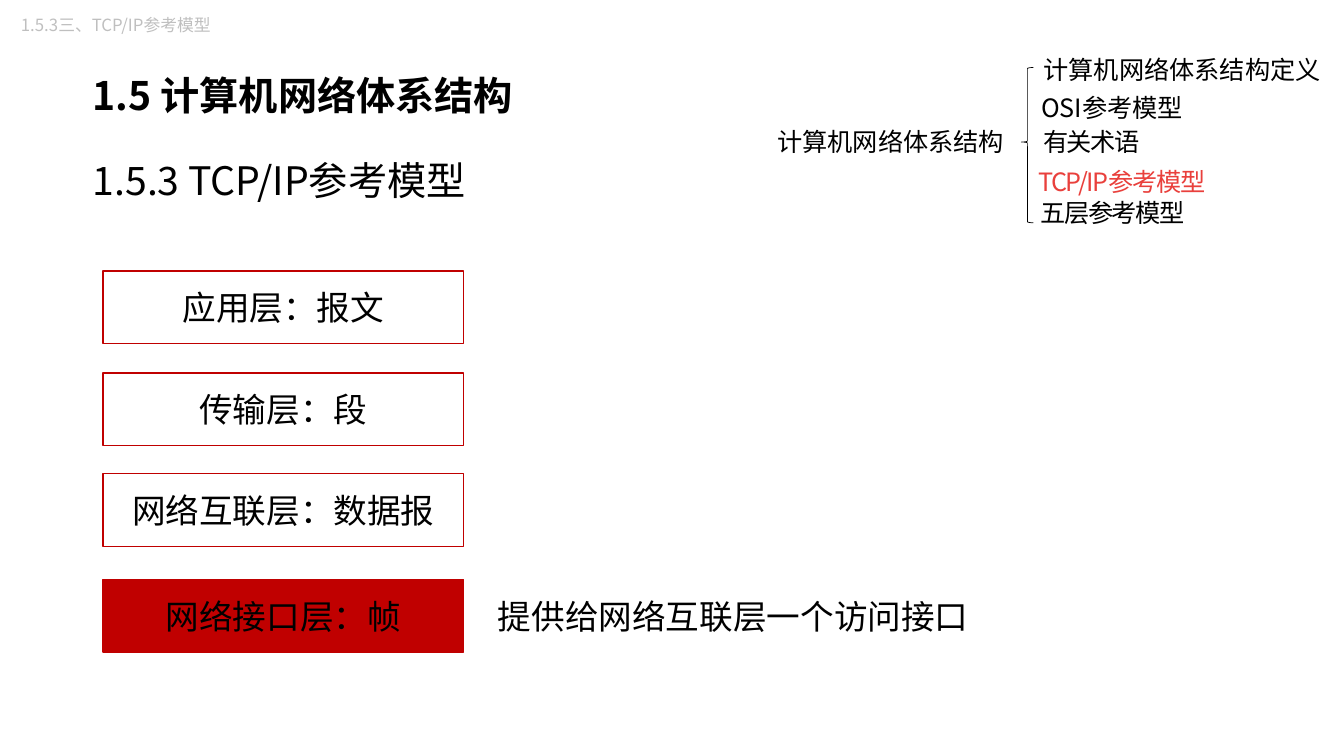
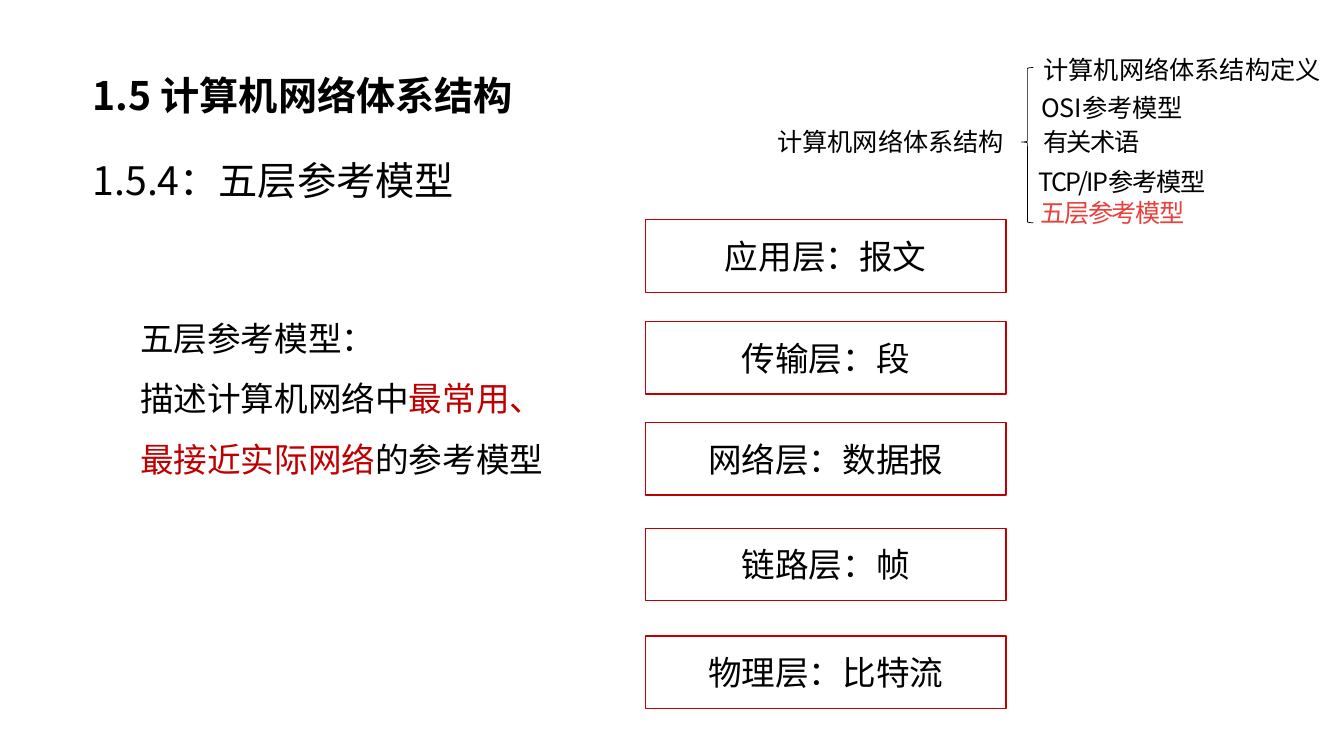
from lxml import etree
from pptx import Presentation
from pptx.dml.color import RGBColor
from pptx.enum.shapes import MSO_SHAPE
from pptx.enum.text import MSO_ANCHOR, MSO_AUTO_SIZE, PP_ALIGN
from pptx.oxml.ns import qn
from pptx.util import Inches, Pt

COLORS = {"text": "000000", "accent": "C00000", "current": "E9403C", "label": "BFBFBF"}
FONT = "Noto Sans CJK SC"
CHAPTER = "1.5 计算机网络体系结构"
LAYER_OFFSETS = (0, 1.01, 2.01, 3.06, 4.13)
LAYER_WIDTH, LAYER_HEIGHT = 3.58, 0.72
OUTLINE_TOPICS = (
    ("OSI参考模型", (9.95, 0.94, 2.16, 0.32), 0),
    ("有关术语", (10.04, 1.28, 1.57, 0.32), -1),
    ("TCP/IP参考模型", (9.82, 1.68, 2.61, 0.32), -1),
    ("五层参考模型", (9.93, 1.99, 2.21, 0.32), -1),
)


def rgb(name):
    return RGBColor.from_string(COLORS[name])


def style_paragraph(paragraph, size, color="text", bold=False, font=FONT,
                    align=PP_ALIGN.LEFT, line_spacing=None, tracking=0):
    paragraph.alignment = align
    if line_spacing:
        paragraph.line_spacing = line_spacing
    paragraph.font.size = Pt(size)
    paragraph.font.bold = bold
    paragraph.font.name = font
    paragraph.font.color.rgb = rgb(color)
    defaults = paragraph._p.pPr.find(qn("a:defRPr"))
    latin = defaults.find(qn("a:latin"))
    east_asian = etree.Element(qn("a:ea"))
    east_asian.set("typeface", FONT)
    latin.addnext(east_asian)
    if tracking:
        defaults.set("spc", str(tracking * 100))


def add_text(shapes, text, box, size, grow=True, **style):
    label = shapes.add_textbox(*map(Inches, box))
    frame = label.text_frame
    frame.word_wrap = True
    frame.auto_size = MSO_AUTO_SIZE.SHAPE_TO_FIT_TEXT if grow else MSO_AUTO_SIZE.NONE
    frame.text = text
    style_paragraph(frame.paragraphs[0], size, **style)
    return frame


def set_heading_margins(frame):
    frame.margin_left = frame.margin_right = Inches(0.12)
    frame.margin_top = frame.margin_bottom = Inches(0.06)


def add_headings(slide, section):
    title = slide.shapes.title
    title.left, title.top, title.width, title.height = map(Inches, (0.8, 0.65, 9.65, 0.59))
    frame = title.text_frame
    frame.text = CHAPTER
    frame.word_wrap = True
    frame.auto_size = MSO_AUTO_SIZE.SHAPE_TO_FIT_TEXT
    frame.vertical_anchor = MSO_ANCHOR.TOP
    set_heading_margins(frame)
    style_paragraph(frame.paragraphs[0], 28, bold=True)

    section_frame = add_text(slide.shapes, section, (0.8, 1.15, 12.16, 1.04), 28,
                             grow=False, line_spacing=1.5)
    section_frame.vertical_anchor = MSO_ANCHOR.MIDDLE
    set_heading_margins(section_frame)


def add_outlined_shape(shapes, preset, box, line_color, line_width, fill=None):
    shape = shapes.add_shape(preset, *map(Inches, box))
    shape.shadow.inherit = False
    if fill:
        shape.fill.solid()
        shape.fill.fore_color.rgb = rgb(fill)
    else:
        shape.fill.background()
    shape.line.color.rgb = rgb(line_color)
    shape.line.width = Pt(line_width)
    return shape


def add_layers(slide, left, top, layers, highlighted=None):
    for name, offset in zip(layers, LAYER_OFFSETS):
        layer = add_outlined_shape(
            slide.shapes, MSO_SHAPE.RECTANGLE,
            (left, top + offset, LAYER_WIDTH, LAYER_HEIGHT), "accent", 1,
            fill="accent" if name == highlighted else None)
        frame = layer.text_frame
        frame.text = name
        frame.vertical_anchor = MSO_ANCHOR.MIDDLE
        style_paragraph(frame.paragraphs[0], 24, align=PP_ALIGN.CENTER)


def add_outline(slide, current):
    shapes = slide.shapes.add_group_shape().shapes
    brace = add_outlined_shape(shapes, MSO_SHAPE.LEFT_BRACE,
                               (10.13, 0.67, 0.12, 1.54), "text", 0.5)
    brace.adjustments[0], brace.adjustments[1] = 0.08, 0.48
    add_text(shapes, "计算机网络体系结构", (7.61, 1.2, 3.38, 0.4), 18)
    add_text(shapes, "计算机网络体系结构定义", (10.25, 0.49, 2.99, 0.4), 18, font="Arial")
    for topic, box, tracking in OUTLINE_TOPICS:
        add_text(shapes, topic, box, 18, align=PP_ALIGN.CENTER, line_spacing=Pt(16),
                 tracking=tracking, color="current" if topic == current else "text")


def add_description(slide):
    frame = add_text(slide.shapes, "五层参考模型：", (1.29, 2.9, 4.41, 1.85), 24,
                     line_spacing=1.5)
    paragraph = frame.add_paragraph()
    for text, color in (("描述计算机网络中", "text"),
                        ("最常用、最接近实际网络", "accent"),
                        ("的参考模型", "text")):
        run = paragraph.add_run()
        run.text = text
        run.font.color.rgb = rgb(color)
    style_paragraph(paragraph, 24, line_spacing=1.5)


def add_section_slide(prs, section, current):
    slide = prs.slides.add_slide(prs.slide_layouts[5])
    add_headings(slide, section)
    add_outline(slide, current)
    return slide


def main():
    prs = Presentation()
    prs.slide_width, prs.slide_height = Inches(13.33), Inches(7.5)

    tcp_ip = add_section_slide(prs, "1.5.3 TCP/IP参考模型", "TCP/IP参考模型")
    add_layers(tcp_ip, 1.02, 2.69,
               ("应用层：报文", "传输层：段", "网络互联层：数据报", "网络接口层：帧"),
               highlighted="网络接口层：帧")
    add_text(tcp_ip.shapes, "提供给网络互联层一个访问接口", (4.84, 5.75, 8.35, 0.62), 24,
             line_spacing=Pt(37))
    add_text(tcp_ip.shapes, "1.5.3三、TCP/IP参考模型", (0.11, 0.1, 2.14, 0.3), 12,
             color="label")

    five_layer = add_section_slide(prs, "1.5.4：五层参考模型", "五层参考模型")
    add_layers(five_layer, 6.4, 2.18,
               ("应用层：报文", "传输层：段", "网络层：数据报", "链路层：帧", "物理层：比特流"))
    add_description(five_layer)

    prs.save("out.pptx")


if __name__ == "__main__":
    main()
